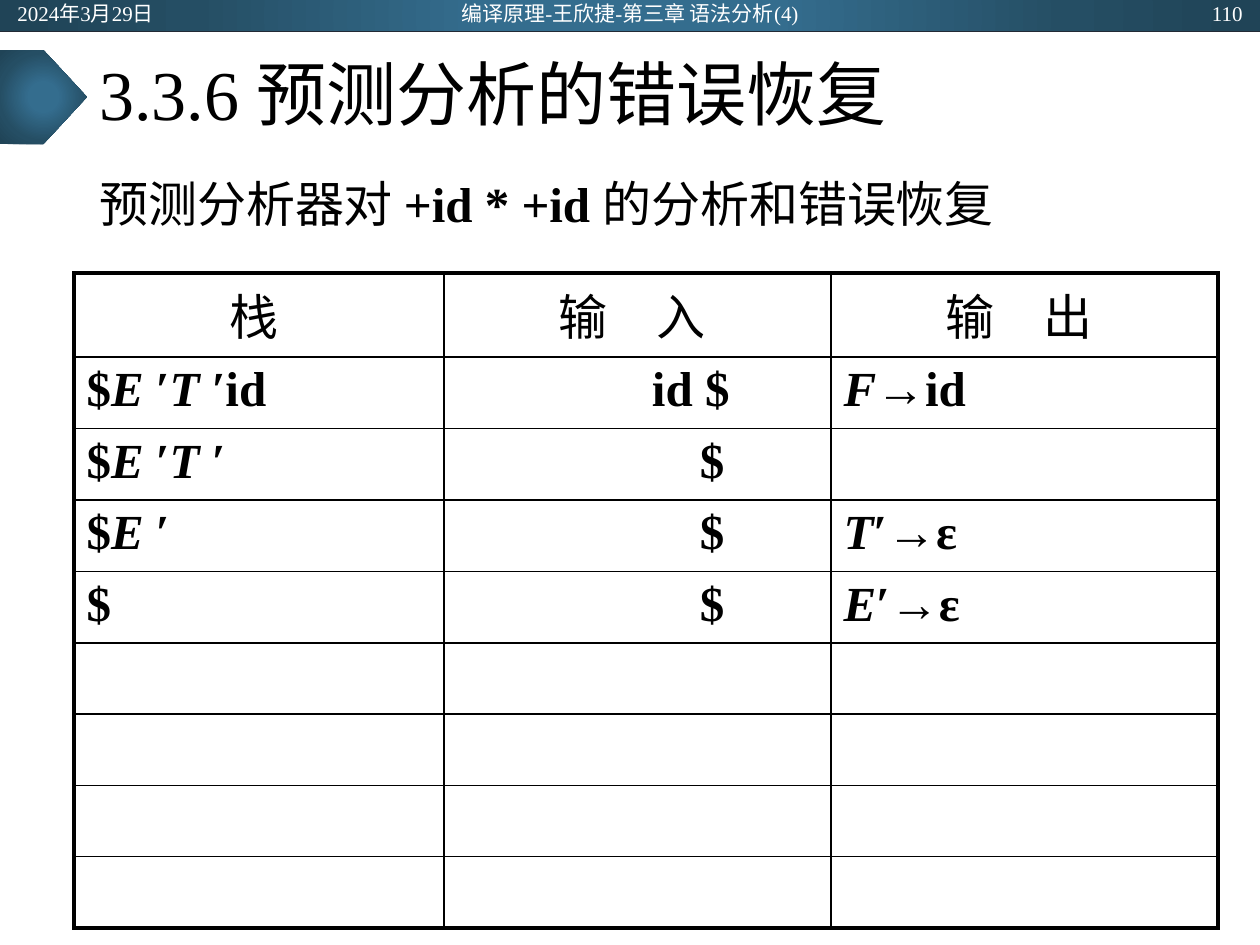
from lxml import etree
from pptx import Presentation
from pptx.dml.color import RGBColor
from pptx.enum.shapes import MSO_CONNECTOR, MSO_SHAPE
from pptx.enum.text import MSO_ANCHOR, PP_ALIGN
from pptx.oxml import parse_xml
from pptx.oxml.ns import nsdecls, qn
from pptx.util import Emu, Pt

RECT, PENTAGON = MSO_SHAPE.RECTANGLE, MSO_SHAPE.PENTAGON
STRAIGHT = MSO_CONNECTOR.STRAIGHT
LEFT, CENTER, RIGHT = PP_ALIGN.LEFT, PP_ALIGN.CENTER, PP_ALIGN.RIGHT
TOP, MIDDLE = MSO_ANCHOR.TOP, MSO_ANCHOR.MIDDLE
SCALE = 914400 / 126
FONT = "Times New Roman"
COLORS = {
    "text": "000000",
    "border": "000000",
    "header": "FFFFFF",
    "rule": "222A35",
    "glow": "346D8E",
    "deep": "254E64",
    "edge": "204457",
}
GLOW_STOPS = [(0, "glow"), (23, "glow"), (69, "deep"), (97, "edge")]


def px(n):
    return Emu(round(n * SCALE))


def rgb(name):
    return RGBColor.from_string(COLORS[name])


def add_runs(p, runs, size, color="text"):
    for text, style in runs:
        r = p.add_run()
        r.text = text
        r.font.name = FONT
        r.font.size = Pt(size)
        r.font.bold = "b" in style
        r.font.italic = "i" in style
        r.font.color.rgb = rgb(color)


def add_text(s, box, runs, size, color="text", align=LEFT, anchor=MIDDLE, spacing=1.0):
    tf = s.shapes.add_textbox(*map(px, box)).text_frame
    tf.word_wrap = True
    tf.vertical_anchor = anchor
    p = tf.paragraphs[0]
    p.alignment = align
    p.line_spacing = spacing
    add_runs(p, runs, size, color)


def add_glow_shape(s, kind, box):
    sp = s.shapes.add_shape(kind, *map(px, box))
    sp.shadow.inherit = False
    sp.line.fill.background()
    stops = "".join(
        f'<a:gs pos="{pos * 1000}"><a:srgbClr val="{COLORS[name]}"/></a:gs>'
        for pos, name in GLOW_STOPS
    )
    grad = parse_xml(
        f'<a:gradFill {nsdecls("a")} rotWithShape="1"><a:gsLst>{stops}</a:gsLst>'
        '<a:path path="circle"><a:fillToRect l="50000" t="50000" r="50000" b="50000"/>'
        "</a:path></a:gradFill>"
    )
    sp.fill.background()
    props = sp.fill._xPr
    props.replace(props.find(qn("a:noFill")), grad)


def add_header(s, x, y, w, h):
    add_glow_shape(s, RECT, (x, y, w, h))
    rule = s.shapes.add_connector(STRAIGHT, px(x), px(y + h), px(x + w), px(y + h))
    rule.line.color.rgb = rgb("rule")
    rule.line.width = Pt(0.5)
    etree.SubElement(rule._element.spPr, qn("a:effectLst"))
    for left, width, text, align in [
        (5, 283, "2024年3月29日", LEFT),
        (417, 426, "编译原理-王欣捷-第三章 语法分析(4)", CENTER),
        (972, 283, "110", RIGHT),
    ]:
        add_text(s, (x + left, y + 1, width, 25), [(text, "")], 12, "header", align)


def add_title(s, x, y, w, h):
    add_glow_shape(s, PENTAGON, (x, y + 18, 87, 94))
    add_text(s, (x + 87, y, w - 87, h), [("3.3.6 预测分析的错误恢复", "")], 40, spacing=0.9)


def add_body(s, x, y, w, h):
    runs = [("预测分析器对 ", ""), ("+id * +id ", "b"), ("的分析和错误恢复", "")]
    add_text(s, (x, y, w, h), runs, 28, anchor=TOP, spacing=0.9)


def set_borders(cell, widths):
    tc_pr = cell._tc.get_or_add_tcPr()
    for side, width in zip("LRTB", widths):
        tc_pr.append(parse_xml(
            f'<a:ln{side} {nsdecls("a")} w="{Pt(width)}"><a:solidFill>'
            f'<a:srgbClr val="{COLORS["border"]}"/></a:solidFill></a:ln{side}>'
        ))


def add_parse_table(s, x, y, w, h):
    stack_e = [("$", "b"), ("E ", "bi"), ("′", "b")]
    stack_t = stack_e + [("T ", "bi")]
    end = [("$", "b")]
    rows = [
        ([("栈 ", "")], [("输　入 ", "")], [("输　出 ", "")]),
        (stack_t + [("′id", "b")], [("id $", "b")], [("F", "bi"), ("→id", "b")]),
        (stack_t + [("′", "b")], end, []),
        (stack_e, end, [("T", "bi"), ("′→ε", "b")]),
        (end, end, [("E", "bi"), ("′→ε", "b")]),
    ] + [([], [], [])] * 4
    input_indents = {1: 208, 2: 256, 3: 256, 4: 256}
    head_h, first_w = 84, 370
    n_rows, n_cols = len(rows), len(rows[0])
    table = s.shapes.add_table(n_rows, n_cols, px(x), px(y), px(w), px(h)).table
    table.first_row = table.horz_banding = False
    for c, col in enumerate(table.columns):
        col.width = px((w - first_w) / (n_cols - 1) if c else first_w)
    for i, row in enumerate(table.rows):
        row.height = px((h - head_h) / (n_rows - 1) if i else head_h)
        for c, runs in enumerate(rows[i]):
            cell = table.cell(i, c)
            outer = (c == 0, c == n_cols - 1, i == 0, i == n_rows - 1)
            set_borders(cell, [2.25 if edge else 1 for edge in outer])
            cell.fill.background()
            if c == 1 and i in input_indents:
                cell.margin_left = px(input_indents[i])
            p = cell.text_frame.paragraphs[0]
            p.alignment = LEFT if i else CENTER
            add_runs(p, runs, 28)


def main():
    prs = Presentation()
    prs.slide_width, prs.slide_height = px(1260), px(945)
    s = prs.slides.add_slide(prs.slide_layouts[6])
    add_header(s, 0, 0, 1260, 31)
    add_title(s, 0, 32, 1173, 131)
    add_body(s, 87, 174, 1086, 678)
    add_parse_table(s, 74, 273, 1144, 654)
    prs.save("out.pptx")


if __name__ == "__main__":
    main()
